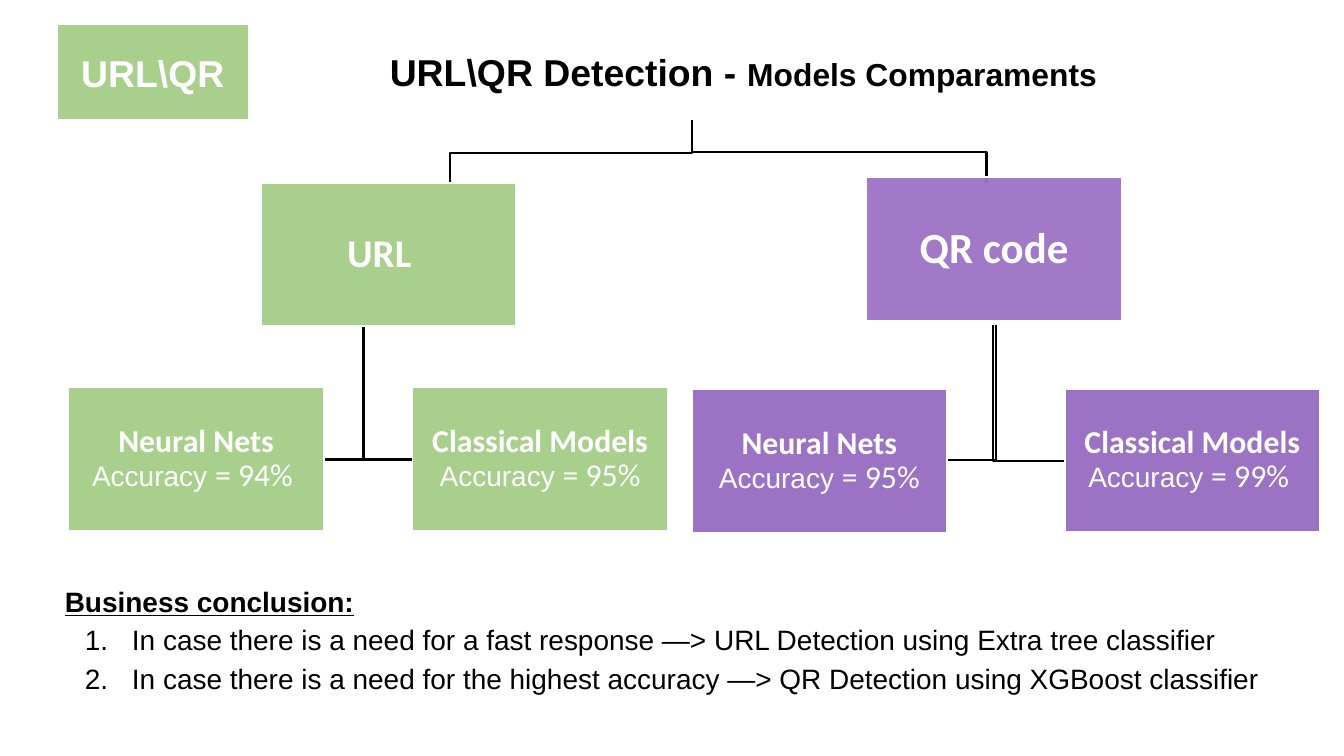
import dataclasses

import lxml.etree
import pptx
import pptx.dml.color
import pptx.enum.shapes
import pptx.enum.text
import pptx.oxml.ns
import pptx.util

Pt = pptx.util.Pt
CENTER = pptx.enum.text.PP_ALIGN.CENTER
LEFT = pptx.enum.text.PP_ALIGN.LEFT


@dataclasses.dataclass(frozen=True)
class Theme:
    green: str = "A8D08C"
    purple: str = "9C72C4"
    white: str = "FFFFFF"
    black: str = "000000"
    head: float = 20
    url: float = 21
    qr: float = 23
    model: float = 17
    body: float = 15


theme = Theme()


def color(value):
    return pptx.dml.color.RGBColor.from_string(value)


def write_text(frame, frame_format, paragraphs, alignment, spacing, ink):
    """Each paragraph is a list of (text, font format) runs."""
    for name, value in frame_format.items():
        setattr(frame, name, value)
    for index, runs in enumerate(paragraphs):
        paragraph = frame.paragraphs[0] if index == 0 else frame.add_paragraph()
        paragraph.alignment = alignment
        paragraph.line_spacing = spacing
        for text, font_format in runs:
            run = paragraph.add_run()
            run.text = text
            run.font.color.rgb = color(ink)
            for name, value in font_format.items():
                setattr(run.font, name, value)


presentation = pptx.Presentation()
presentation.slide_width, presentation.slide_height = Pt(720), Pt(405)
slide = presentation.slides.add_slide(presentation.slide_layouts[6])

# Formats
margins = ("margin_left", "margin_top", "margin_right", "margin_bottom")
middle = pptx.enum.text.MSO_ANCHOR.MIDDLE
box_frame = {"word_wrap": True, "vertical_anchor": middle, **dict.fromkeys(margins, Pt(1.4))}
text_frame = {"word_wrap": True, **dict.fromkeys(margins, Pt(7.2))}
head_font = {"name": "Arial", "size": Pt(theme.head), "bold": True}
subhead_font = {**head_font, "size": Pt(theme.model)}
url_font = {"name": "Calibri", "size": Pt(theme.url), "bold": True}
qr_font = {**url_font, "size": Pt(theme.qr)}
model_font = {**url_font, "size": Pt(theme.model)}
score_font = {**model_font, "bold": False}
body_font = {"name": "Arial", "size": Pt(theme.body), "bold": False}
label_font = {**body_font, "bold": True, "underline": True}

# Tree branches
branches = [
    [(533.5, 174), (533.5, 246.5), (507.6, 246.5)],
    [(532, 174), (532, 247), (581.8, 247)],
    [(370.6, 64.5), (370.6, 81.4), (528.5, 81.4), (528.5, 98)],
    [(194.7, 175), (194.7, 246.2), (173.5, 246.2)],
    [(194.7, 175), (194.7, 246.2), (221, 246.2)],
    [(370.6, 64.5), (370.6, 82), (241.2, 82), (241.2, 98)],
]
for points in branches:
    start, *rest = [(Pt(x), Pt(y)) for x, y in points]
    builder = slide.shapes.build_freeform(*start)
    builder.add_line_segments(rest, close=False)
    branch = builder.convert_to_shape()
    branch.shadow.inherit = False
    branch.fill.background()
    branch.line.color.rgb = color(theme.black)
    branch.line.width = Pt(1.25)

# Boxes: left, top, width, height, fill, line spacing, paragraphs
node = (136.8, 77)
boxes = [
    (30.4, 13, 103, 51.3, theme.green, 1, [[("URL\\QR", head_font)]]),
    (139.8, 97.9, *node, theme.green, 0.9, [[("URL", url_font)]]),
    (464.2, 95, *node, theme.purple, 0.9, [[("QR code", qr_font)]]),
]
for left, top, fill, model, score in [
    (221, 207.4, theme.green, "Classical Models", "= 95%"),
    (36.7, 207.4, theme.green, "Neural Nets", "= 94% "),
    (570.4, 208.2, theme.purple, "Classical Models", "= 99% "),
    (370.6, 208.6, theme.purple, "Neural Nets", "= 95%"),
]:
    lines = [[(model, model_font)], [("Accuracy ", body_font), (score, score_font)]]
    boxes.append((left, top, *node, fill, 0.9, lines))

for left, top, width, height, fill, spacing, lines in boxes:
    box = slide.shapes.add_shape(
        pptx.enum.shapes.MSO_SHAPE.RECTANGLE, Pt(left), Pt(top), Pt(width), Pt(height))
    box.shadow.inherit = False
    box.fill.solid()
    box.fill.fore_color.rgb = color(fill)
    box.line.color.rgb = color(theme.white)
    box.line.width = Pt(1)
    write_text(box.text_frame, box_frame, lines, CENTER, spacing, theme.white)
    title = lines[0][0][0]
    if title == "URL":
        # The label sits left of the box centre
        box.text_frame.margin_right = Pt(11.4)
    elif title == "QR code":
        # Slightly transparent fill
        fill_color = next(box.element.spPr.iter(pptx.oxml.ns.qn("a:srgbClr")))
        lxml.etree.SubElement(fill_color, pptx.oxml.ns.qn("a:alpha"), val="95000")

# Title
heading = slide.shapes.add_textbox(Pt(160), Pt(19.4), Pt(476.6), Pt(39))
write_text(heading.text_frame, text_frame,
           [[("URL\\QR Detection - ", head_font), ("Models Comparaments", subhead_font)]],
           CENTER, 1, theme.black)

# Business conclusion with a numbered list
conclusion = slide.shapes.add_textbox(Pt(27.6), Pt(303.2), Pt(671), Pt(75))
write_text(conclusion.text_frame, text_frame, [
    [("Business conclusion:", label_font)],
    [("In case there is a need for a fast response —> "
      "URL Detection using Extra tree classifier", body_font)],
    [("In case there is a need for the highest accuracy —> "
      "QR Detection using XGBoost classifier", body_font)],
], LEFT, 1.15, theme.black)
for paragraph in conclusion.text_frame.paragraphs[1:]:
    properties = paragraph._p.get_or_add_pPr()
    properties.set("marL", str(Pt(36)))
    properties.set("indent", str(Pt(-25.2)))
    lxml.etree.SubElement(properties, pptx.oxml.ns.qn("a:buFont"), typeface="Arial")
    lxml.etree.SubElement(properties, pptx.oxml.ns.qn("a:buAutoNum"), type="arabicPeriod")

presentation.save("out.pptx")
